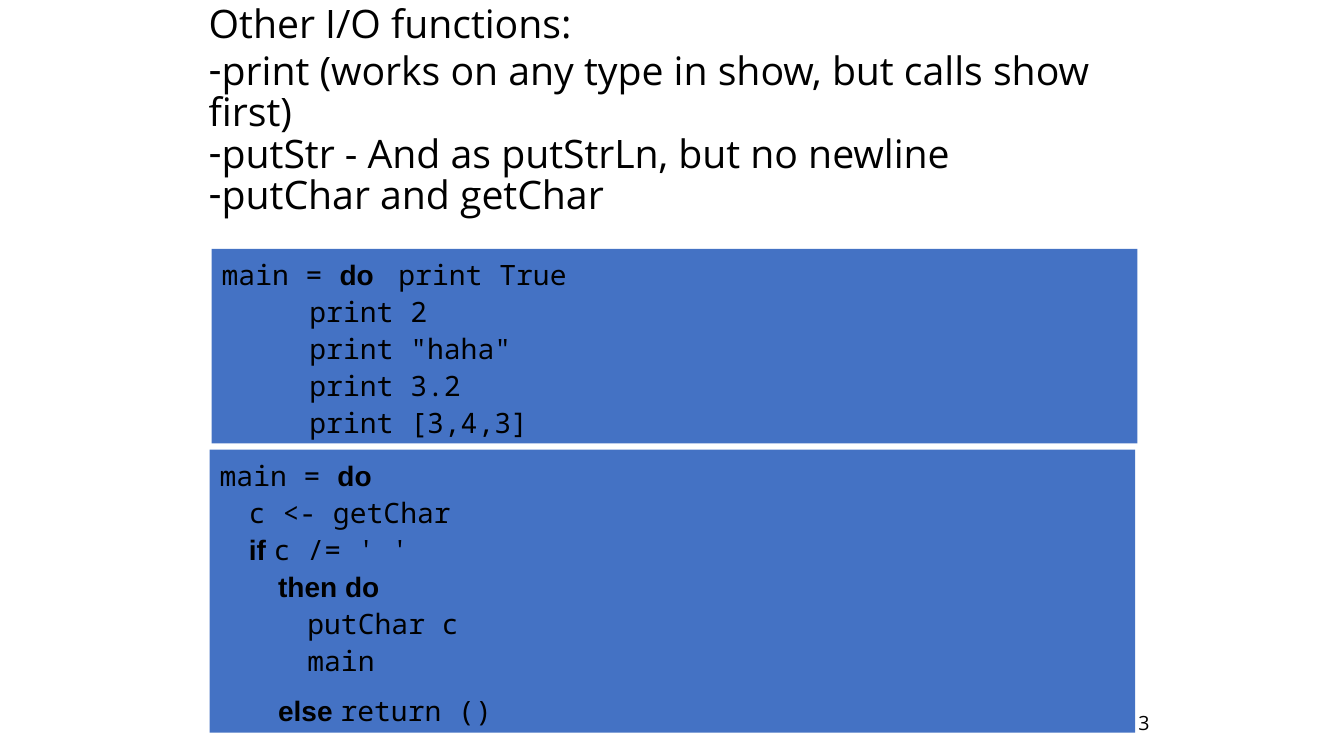
import pptx
import pptx.dml.color
import pptx.enum.shapes
import pptx.enum.text
import pptx.oxml
import pptx.util

Inches = pptx.util.Inches
Pt = pptx.util.Pt
BLACK = pptx.dml.color.RGBColor(0x00, 0x00, 0x00)
BLUE = pptx.dml.color.RGBColor(0x44, 0x72, 0xC4)
TEXT_FONT, CODE_FONT, KEYWORD_FONT = "Open Sans", "Noto Sans Mono", "Arial"
KEYWORDS = ("do", "if", "then", "else")
INDENT_STEP = 0.29
NBSP = "\u00a0"

FUNCTIONS = [
    "print (works on any type in show, but calls show first)",
    "putStr - And as putStrLn, but no newline",
    "putChar and getChar",
]
PRINT_CODE = [
    (0, "main = do  print True"),
    (3, "print 2"),
    (3, 'print "haha"'),
    (3, "print 3.2"),
    (3, "print [3,4,3]"),
]
CHAR_CODE = [
    (0, "main = do"),
    (1, "c <- getChar"),
    (1, "if c /= ' '"),
    (2, "then do"),
    (3, "putChar c"),
    (3, "main"),
    (2, "else return ()"),
]


def place(shape, left, top, width, height):
    """Move a shape to a box given in inches."""
    shape.left, shape.top = Inches(left), Inches(top)
    shape.width, shape.height = Inches(width), Inches(height)


def style(paragraph, size, align=pptx.enum.text.PP_ALIGN.LEFT, spacing=1.0):
    """Give a paragraph black text with no space around it."""
    paragraph.font.size = Pt(size)
    paragraph.font.name = TEXT_FONT
    paragraph.font.color.rgb = BLACK
    paragraph.alignment = align
    paragraph.line_spacing = spacing
    paragraph.space_before = paragraph.space_after = Pt(0)


def fill_placeholder(placeholder, lines):
    """Write lines from the top left corner of a placeholder."""
    frame = placeholder.text_frame
    frame.text = "\n".join(lines)
    frame.word_wrap = True
    frame.auto_size = pptx.enum.text.MSO_AUTO_SIZE.NONE
    frame.vertical_anchor = pptx.enum.text.MSO_ANCHOR.TOP
    frame.margin_left = frame.margin_right = Inches(0)
    frame.margin_top = frame.margin_bottom = Inches(0)
    for paragraph in frame.paragraphs:
        style(paragraph, 28, spacing=0.88)


def add_function_list(slide, left, top, width, height):
    """Place the heading and the dashed list of functions."""
    heading, functions = slide.shapes.title, slide.placeholders[1]
    heading_height = height / 5
    place(heading, left, top, width, heading_height)
    place(functions, left, top + heading_height, width, height - heading_height)
    fill_placeholder(heading, ["Other I/O functions:"])
    fill_placeholder(functions, FUNCTIONS)
    for paragraph in functions.text_frame.paragraphs:
        properties = paragraph._p.get_or_add_pPr()
        properties.set("marL", "0")
        properties.set("indent", "0")
        dash = pptx.oxml.parse_xml(
            '<a:buChar xmlns:a="http://schemas.openxmlformats.org/drawingml/2006/main" char="-"/>'
        )
        properties.append(dash)


def add_page_number(slide, left, top, width, height):
    """Place the right-aligned page number."""
    number = slide.shapes.add_textbox(
        Inches(left), Inches(top), Inches(width), Inches(height)
    )
    number.text_frame.word_wrap = True
    number.text_frame.text = "13"
    style(number.text_frame.paragraphs[0], 14, pptx.enum.text.PP_ALIGN.RIGHT)


def add_code_line(paragraph, level, code):
    """Write one indented line of code with bold keywords."""
    style(paragraph, 20, spacing=1.1)
    paragraph._p.get_or_add_pPr().set("marL", str(Inches(level * INDENT_STEP)))
    words = code.split(" ")
    for index, word in enumerate(words):
        run = paragraph.add_run()
        run.text = word + (NBSP if index < len(words) - 1 else "")
        run.font.bold = word in KEYWORDS
        run.font.name = KEYWORD_FONT if word in KEYWORDS else CODE_FONT


def add_code_block(slide, code_lines, left, top, width, height):
    """Place a blue block of code and return its text frame."""
    block = slide.shapes.add_shape(
        pptx.enum.shapes.MSO_SHAPE.RECTANGLE,
        Inches(left), Inches(top), Inches(width), Inches(height),
    )
    block.shadow.inherit = False
    block.fill.solid()
    block.fill.fore_color.rgb = BLUE
    block.line.fill.background()
    frame = block.text_frame
    frame.word_wrap = True
    frame.vertical_anchor = pptx.enum.text.MSO_ANCHOR.MIDDLE
    for index, (level, code) in enumerate(code_lines):
        paragraph = frame.add_paragraph() if index else frame.paragraphs[0]
        add_code_line(paragraph, level, code)
    return frame


def build_slide(presentation):
    """Build the slide on input and output functions."""
    slide = presentation.slides.add_slide(presentation.slide_layouts[1])
    add_function_list(slide, 2.07, 0.05, 9.11, 2.34)
    add_page_number(slide, 10.83, 7, 0.67, 0.33)
    add_code_block(slide, PRINT_CODE, 2.1, 2.47, 9.18, 1.93)
    char_block = add_code_block(slide, CHAR_CODE, 2.08, 4.46, 9.18, 2.81)
    char_block.paragraphs[-1].space_before = Pt(9)


presentation = pptx.Presentation()
presentation.slide_width = Inches(13.33)
presentation.slide_height = Inches(7.5)
build_slide(presentation)
presentation.save("out.pptx")
